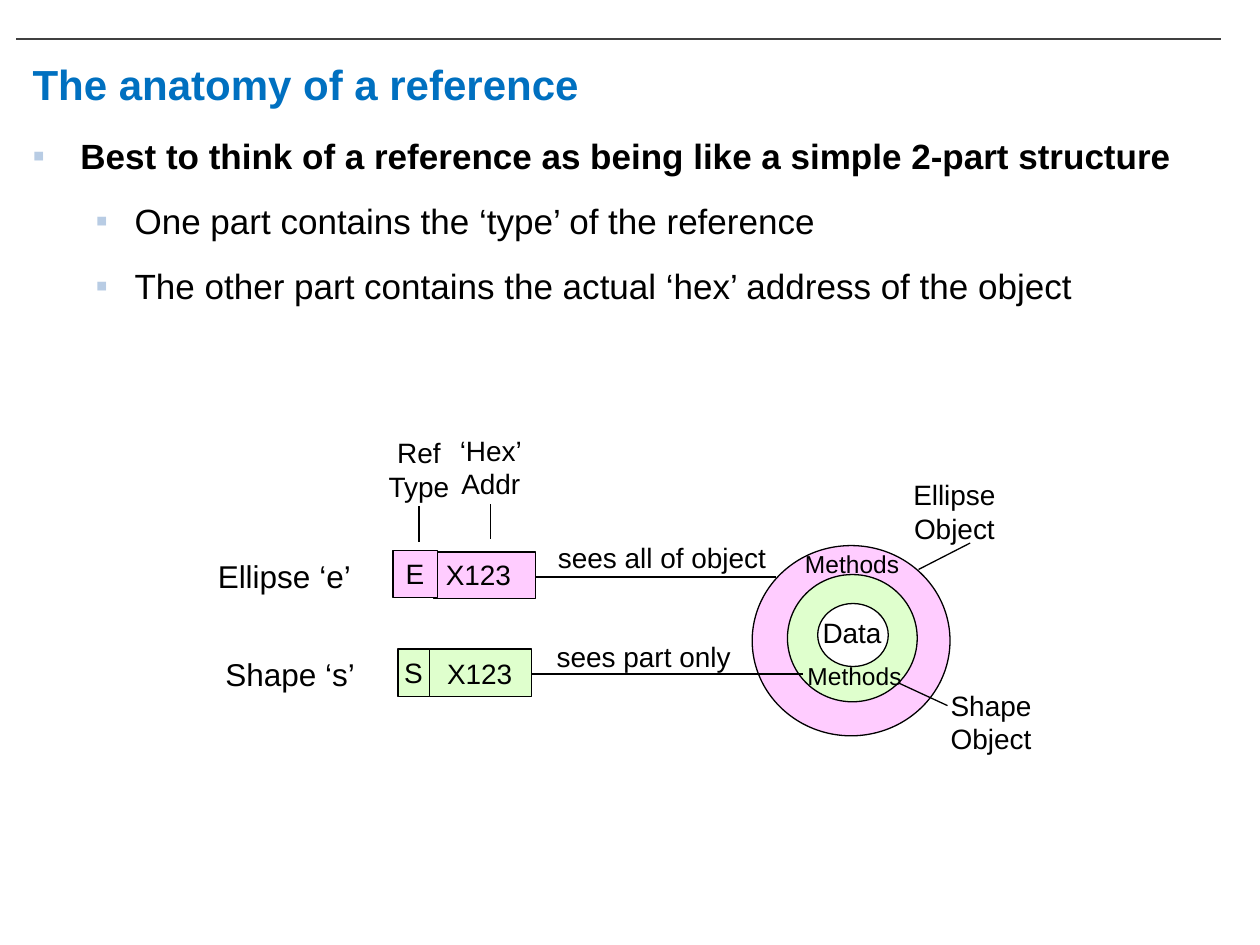
from dataclasses import dataclass

from lxml import etree
from pptx import Presentation
from pptx.dml.color import RGBColor as RGB
from pptx.enum.shapes import MSO_CONNECTOR as CONN, MSO_SHAPE as SHAPE
from pptx.enum.text import MSO_ANCHOR as ANCHOR, PP_ALIGN as ALIGN
from pptx.oxml.ns import qn
from pptx.util import Inches, Pt


@dataclass(frozen=True)
class Theme:
    font: str = "Arial"
    title: str = "0070C0"
    ink: str = "000000"
    rule: str = "404040"
    bullet: str = "B8CCE4"
    pink: str = "FFCCFF"
    green: str = "DFFFCD"
    white: str = "FFFFFF"
    title_pt: int = 24
    body_pt: int = 20
    name_pt: int = 18
    label_pt: int = 16
    ring_pt: int = 14
    line_pt: float = 0.75


T = Theme()


def write(sp, text, size, color=T.ink, bold=False, align=ALIGN.LEFT,
          anchor=ANCHOR.TOP, wrap=False):
    tf = sp.text_frame
    tf.word_wrap = wrap
    tf.vertical_anchor = anchor
    tf.text = text
    for p in tf.paragraphs:
        p.alignment = align
        for r in p.runs:
            r.font.name, r.font.size, r.font.bold = T.font, Pt(size), bold
            r.font.color.rgb = RGB.from_string(color)
    return tf


def label(s, box, text, size=T.label_pt, **style):
    sp = s.shapes.add_textbox(*map(Inches, box))
    return write(sp, text, size, **style)


def shape(s, kind, box, fill, width=T.line_pt):
    sp = s.shapes.add_shape(kind, *map(Inches, box))
    sp.shadow.inherit = False
    sp.fill.solid()
    sp.fill.fore_color.rgb = RGB.from_string(fill)
    sp.line.color.rgb = RGB.from_string(T.ink)
    sp.line.width = Pt(width)
    return sp


def line(s, x1, y1, x2, y2, color=T.ink):
    c = s.shapes.add_connector(CONN.STRAIGHT, *map(Inches, (x1, y1, x2, y2)))
    c.line.color.rgb = RGB.from_string(color)
    c.line.width = Pt(T.line_pt)
    etree.SubElement(c._element.spPr, qn("a:effectLst"))


def bullet(p, left, hang):
    pPr = p._p.get_or_add_pPr()
    pPr.set("marL", str(Inches(left)))
    pPr.set("indent", str(-Inches(hang)))
    color = etree.SubElement(pPr, qn("a:buClr"))
    etree.SubElement(color, qn("a:srgbClr"), val=T.bullet)
    etree.SubElement(pPr, qn("a:buFont"), typeface=T.font)
    etree.SubElement(pPr, qn("a:buChar"), char="▪")


def heading(s, x, y, w, h):
    line(s, x - 0.03, y - 0.08, x + w - 0.08, y - 0.08, T.rule)
    label(s, (x, y, w, h), "The anatomy of a reference", T.title_pt,
          color=T.title, bold=True, anchor=ANCHOR.MIDDLE, wrap=True)


def body(s, x, y, w, h):
    points = ("Best to think of a reference as being like a simple 2-part structure",
              "One part contains the ‘type’ of the reference",
              "The other part contains the actual ‘hex’ address of the object")
    tf = label(s, (x, y, w, h), "\n".join(points), T.body_pt, wrap=True)
    for i, p in enumerate(tf.paragraphs):
        p.space_before = Pt(13)
        p.level = min(i, 1)
        bullet(p, *((0.81, 0.31) if i else (0.38, 0.38)))
    tf.paragraphs[0].runs[0].font.bold = True


def rings(s, x, y, w, h):
    """Nested object: outer methods, inner methods and data."""
    shape(s, SHAPE.OVAL, (x, y, w, h), T.pink)
    shape(s, SHAPE.OVAL, (x + 0.28, y + 0.23, 1.03, 1.01), T.green)
    shape(s, SHAPE.OVAL, (x + 0.52, y + 0.46, 0.56, 0.5), T.white)
    label(s, (x + 0.46, y + 0.51, 0.67, 0.37), "Data")
    label(s, (x + 0.32, y - 0.02, 0.95, 0.34), "Methods", T.ring_pt)
    label(s, (x + 0.34, y + 0.87, 0.95, 0.34), "Methods", T.ring_pt)

    # Object names and their leaders
    for dx, dy, text in ((1.11, -0.51, "Ellipse\nObject"),
                         (1.4, 1.16, "Shape\nObject")):
        label(s, (x + dx, y + dy, 0.99, 0.48), text,
              align=ALIGN.CENTER, anchor=ANCHOR.MIDDLE)
    line(s, x + 1.73, y - 0.02, x + 1.32, y + 0.19)
    line(s, x + 1.55, y + 1.27, x + 1.16, y + 1.09)


def ellipse_row(s, x, y, w, h):
    label(s, (x, y, 1.42, 0.4), "Ellipse ‘e’", T.name_pt, wrap=True)
    line(s, x + 2.62, y + 0.21, x + w, y + 0.21)
    address = shape(s, SHAPE.RECTANGLE, (x + 1.81, y + 0.01, 0.81, h), T.pink, 1)
    write(address, "X123", T.label_pt, wrap=True)
    kind = shape(s, SHAPE.RECTANGLE, (x + 1.49, y, 0.35, h), T.pink)
    write(kind, "E", T.label_pt, wrap=True)
    label(s, (x + 2.7, y - 0.13, 1.86, 0.37), "sees all of object")


def shape_row(s, x, y, w, h):
    label(s, (x, y, 1.35, 0.4), "Shape ‘s’", T.name_pt, wrap=True)
    line(s, x + 2.53, y + 0.2, x + w, y + 0.2)
    shape(s, SHAPE.RECTANGLE, (x + 1.72, y, 0.81, h), T.green)
    shape(s, SHAPE.RECTANGLE, (x + 1.47, y, 0.25, h), T.green)
    label(s, (x + 1.76, y + 0.01, 0.72, 0.37), "X123")
    label(s, (x + 1.42, y, 0.4, 0.37), "S", wrap=True)
    label(s, (x + 2.63, y - 0.12, 1.61, 0.37), "sees part only")


def column_names(s, x, y, w, h):
    for dx, dy, text in ((0, 0.02, "Ref\nType"), (0.57, 0, "‘Hex’\nAddr")):
        label(s, (x + dx, y + dy, w, h), text, align=ALIGN.CENTER)
        middle = x + dx + w / 2
        line(s, middle, y + dy + 0.61, middle, y + dy + 0.89)


def main():
    prs = Presentation()
    prs.slide_width, prs.slide_height = Inches(10), Inches(7.5)
    s = prs.slides.add_slide(prs.slide_layouts[6])
    heading(s, 0.16, 0.39, 9.61, 0.55)
    body(s, 0.16, 1.02, 9.61, 1.57)
    rings(s, 5.97, 4.33, 1.57, 1.51)
    ellipse_row(s, 1.63, 4.37, 4.53, 0.37)
    shape_row(s, 1.69, 5.15, 4.68, 0.38)
    column_names(s, 2.98, 3.39, 0.69, 0.64)
    prs.save("out.pptx")


if __name__ == "__main__":
    main()
